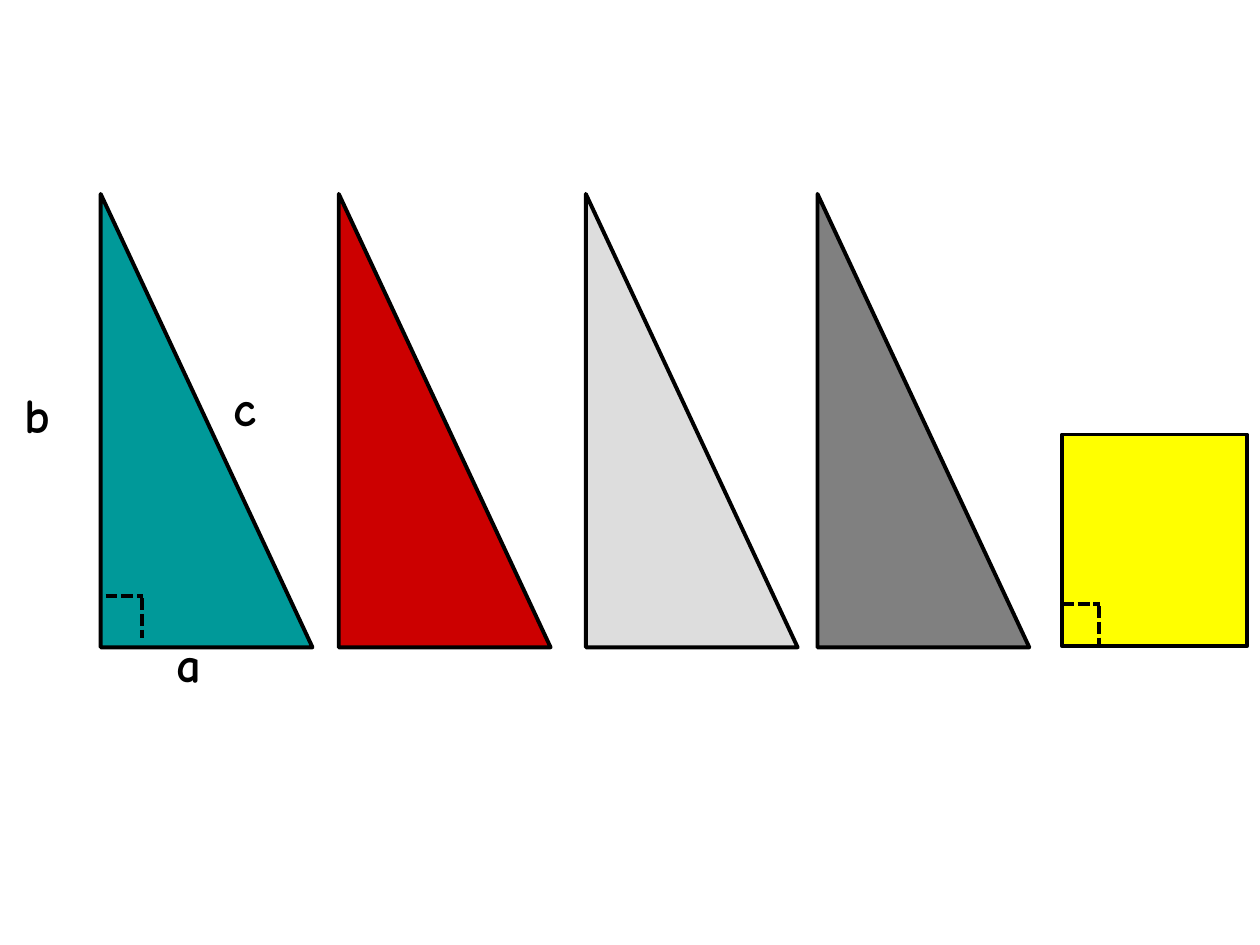
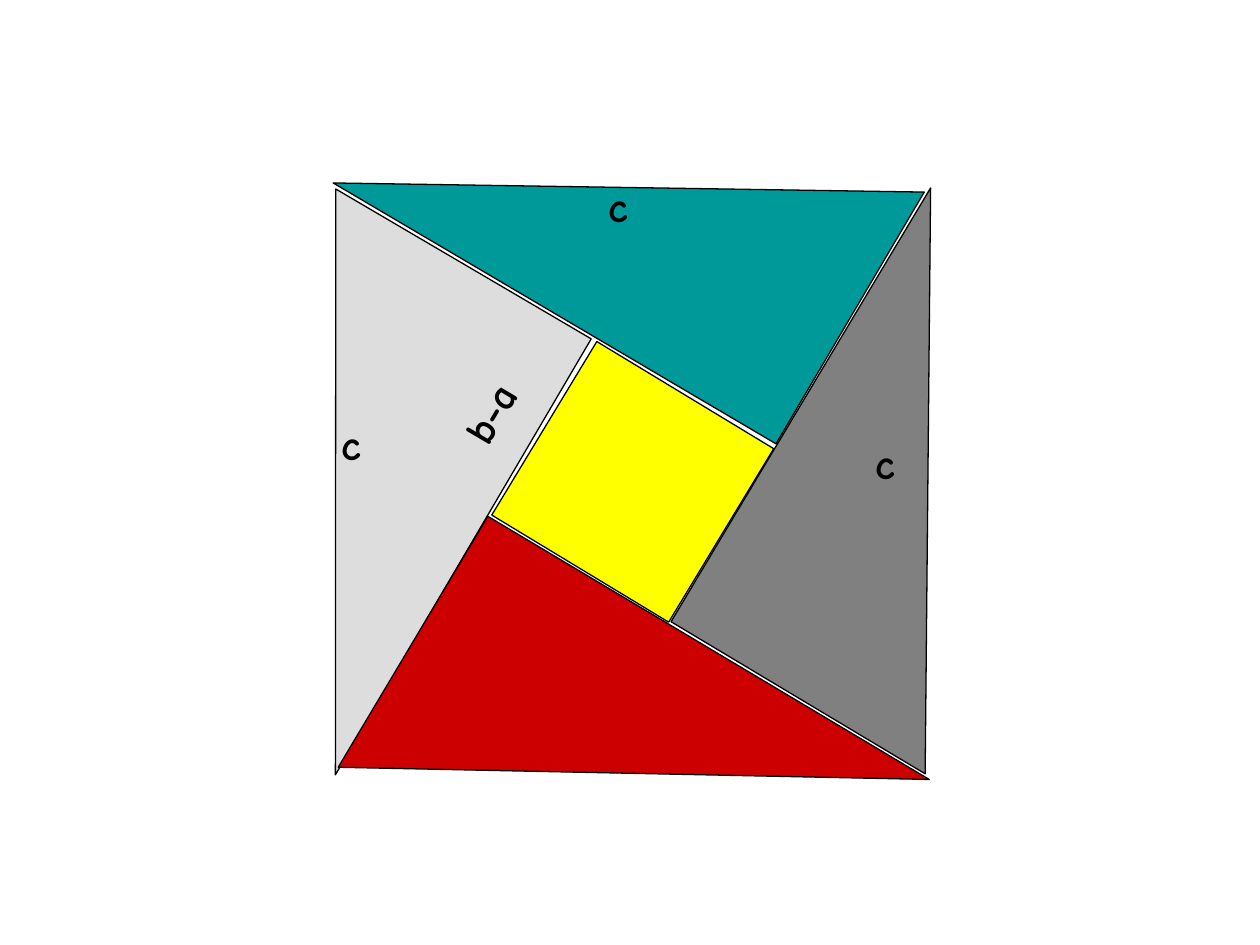
from dataclasses import dataclass

from lxml.etree import SubElement
from pptx import Presentation
from pptx.dml.color import RGBColor
from pptx.enum.dml import MSO_LINE
from pptx.enum.shapes import MSO_CONNECTOR, MSO_SHAPE
from pptx.enum.text import MSO_ANCHOR, PP_ALIGN
from pptx.oxml.ns import qn
from pptx.util import Cm, Pt


@dataclass(frozen=True)
class Theme:
    """Colours, font, type sizes and line widths of the deck."""

    teal: str = "009999"
    red: str = "CC0000"
    silver: str = "DDDDDD"
    grey: str = "808080"
    yellow: str = "FFFF00"
    ink: str = "000000"
    paper: str = "FFFFFF"
    font: str = "Comic Neue"
    side_size: float = 28
    square_size: float = 24
    bold_line: float = 2.25
    fine_line: float = 0.75


@dataclass(frozen=True)
class Box:
    """A rectangle in centimetres."""

    left: float
    top: float
    width: float
    height: float

    def inside(self, left, top, width, height):
        """Return a box placed relative to the corner of this one."""
        return Box(self.left + left, self.top + top, width, height)

    def lengths(self):
        """Return left, top, width and height as slide lengths."""
        return [Cm(side) for side in (self.left, self.top, self.width, self.height)]


THEME = Theme()
ROW = Box(2.03, 3.91, 23.11, 9.14)
ASSEMBLY = Box(6.76, 3.71, 11.99, 11.99)


def set_line(line, weight, colour=THEME.ink):
    """Give an outline its colour and weight."""
    line.color.rgb = RGBColor.from_string(colour)
    line.width = Pt(weight)


def add_tile(slide, preset, box, colour, weight, turn=0):
    """Draw one coloured piece of the puzzle."""
    tile = slide.shapes.add_shape(preset, *box.lengths())
    tile.shadow.inherit = False
    tile.fill.solid()
    tile.fill.fore_color.rgb = RGBColor.from_string(colour)
    set_line(tile.line, weight)
    tile.rotation = turn


def write_label(holder, wording, size):
    """Write a side name at the upper left of its holder."""
    frame = holder.text_frame
    frame.word_wrap = True
    frame.vertical_anchor = MSO_ANCHOR.TOP
    paragraph = frame.paragraphs[0]
    paragraph.alignment = PP_ALIGN.LEFT
    run = paragraph.add_run()
    run.text = wording
    for attribute, setting in {"name": THEME.font, "size": Pt(size), "bold": True}.items():
        setattr(run.font, attribute, setting)
    run.font.color.rgb = RGBColor.from_string(THEME.ink)


def add_framed_label(slide, box, wording):
    """Add a side name in an unfilled frame with a paper-coloured outline."""
    frame = slide.shapes.add_shape(MSO_SHAPE.RECTANGLE, *box.lengths())
    frame.shadow.inherit = False
    frame.fill.background()
    set_line(frame.line, THEME.bold_line, THEME.paper)
    write_label(frame, wording, THEME.side_size)


def add_right_angle(slide, box):
    """Mark a right angle with two dashed strokes along the box's top and right."""
    right, bottom = box.left + box.width, box.top + box.height
    strokes = (
        (box.left, box.top, right, box.top),
        (right - 0.02, box.top + 0.05, right - 0.02, bottom),
    )
    for ends in strokes:
        stroke = slide.shapes.add_connector(MSO_CONNECTOR.STRAIGHT, *map(Cm, ends))
        set_line(stroke.line, THEME.bold_line)
        stroke.line.dash_style = MSO_LINE.SQUARE_DOT
        SubElement(stroke.element.spPr, qn("a:effectLst"))


def build_pieces(slide, box):
    """Lay out the four triangles and the small square in a row."""
    sides = (("c", 2.42, 3.58), ("b", -1.78, 3.71), ("a", 1.27, 8.74))
    for side, left, top in sides:
        add_framed_label(slide, box.inside(left, top, 1.46, 2.33), side)
    triangles = (
        (0, THEME.teal),
        (4.8, THEME.red),
        (9.78, THEME.silver),
        (14.45, THEME.grey),
    )
    for left, colour in triangles:
        place = box.inside(left, 0, 4.27, box.height)
        add_tile(slide, MSO_SHAPE.RIGHT_TRIANGLE, place, colour, THEME.bold_line)
    square = box.inside(19.38, 4.85, 3.73, 4.27)
    add_tile(slide, MSO_SHAPE.RECTANGLE, square, THEME.yellow, THEME.bold_line)
    for left, top in ((0.1, 8.1), (19.38, 8.26)):
        add_right_angle(slide, box.inside(left, top, 0.76, 0.86))


def build_assembly(slide, box):
    """Fit the triangles around the small square to form a square of side c."""
    triangle, square = MSO_SHAPE.RIGHT_TRIANGLE, MSO_SHAPE.RECTANGLE
    tiles = (
        (triangle, (2.97, -5.11, 5.89, 10.36), THEME.teal, 300.5),
        (triangle, (-2.98, 0.91, 5.97, 10.19), THEME.silver, 210.4),
        (triangle, (8.96, 0.89, 5.97, 10.19), THEME.grey, 30.9),
        (square, (3.91, 3.96, 4.17, 4.09), THEME.yellow, 31.2),
        (triangle, (3.07, 6.7, 5.89, 10.36), THEME.red, 120.8),
    )
    for preset, place, colour, turn in tiles:
        add_tile(slide, preset, box.inside(*place), colour, THEME.fine_line, turn)
    sides = (
        ("c", (10.64, 4.98, 1.19, 1.57), 0),
        ("c", (-0.13, 4.6, 1.19, 1.57), 0),
        ("c", (5.25, -0.2, 1.19, 1.57), 0),
        ("b-a", (2.21, 3.58, 2.46, 1.6), 300.6),
    )
    for side, place, turn in sides:
        label = slide.shapes.add_textbox(*box.inside(*place).lengths())
        label.rotation = turn
        write_label(label, side, THEME.square_size)


def main():
    """Build both slides and save the deck."""
    deck = Presentation()
    deck.slide_width, deck.slide_height = Cm(25.4), Cm(19.05)
    blank = deck.slide_layouts.get_by_name("Blank")
    for build, box in ((build_pieces, ROW), (build_assembly, ASSEMBLY)):
        build(deck.slides.add_slide(blank), box)
    deck.save("out.pptx")


if __name__ == "__main__":
    main()
